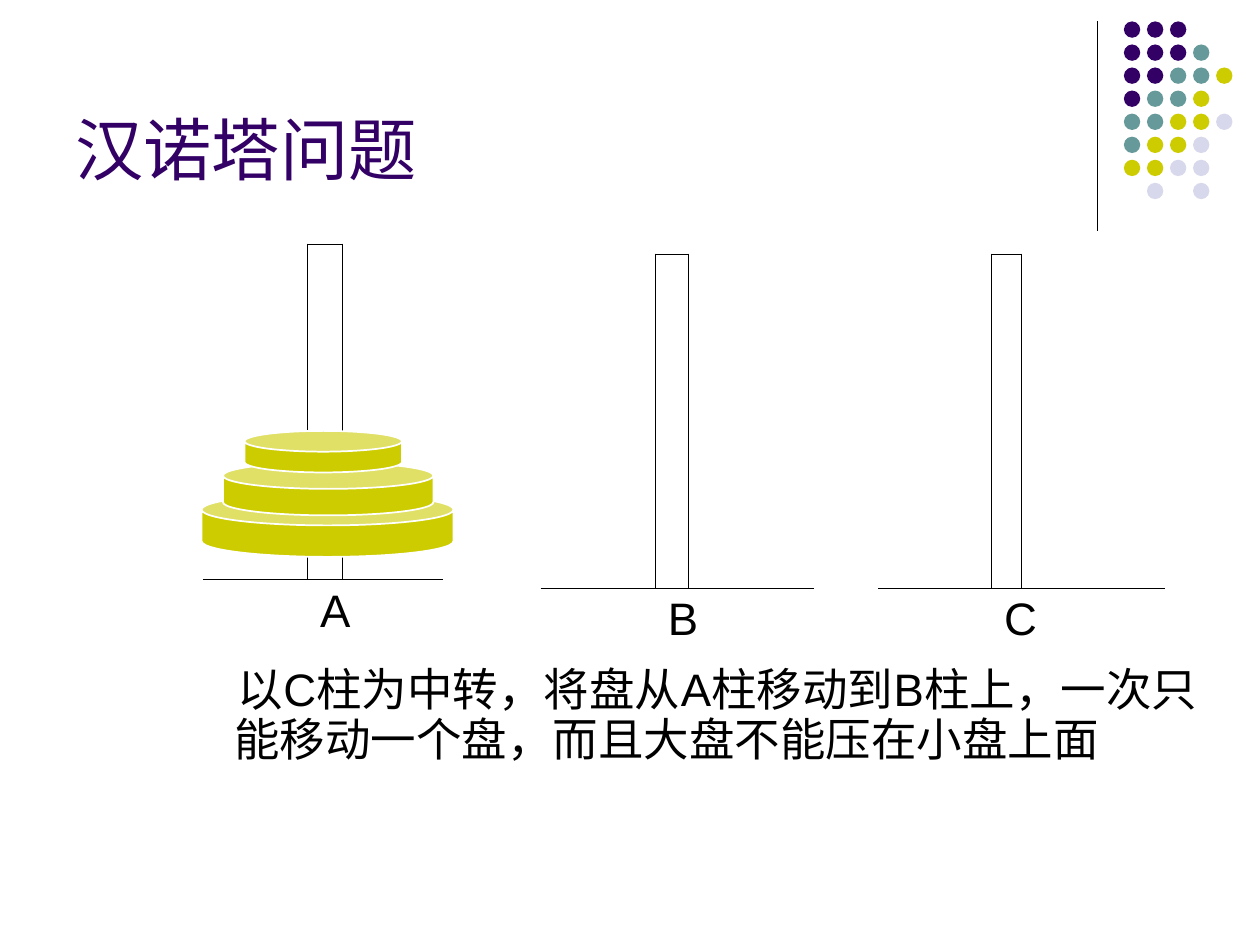
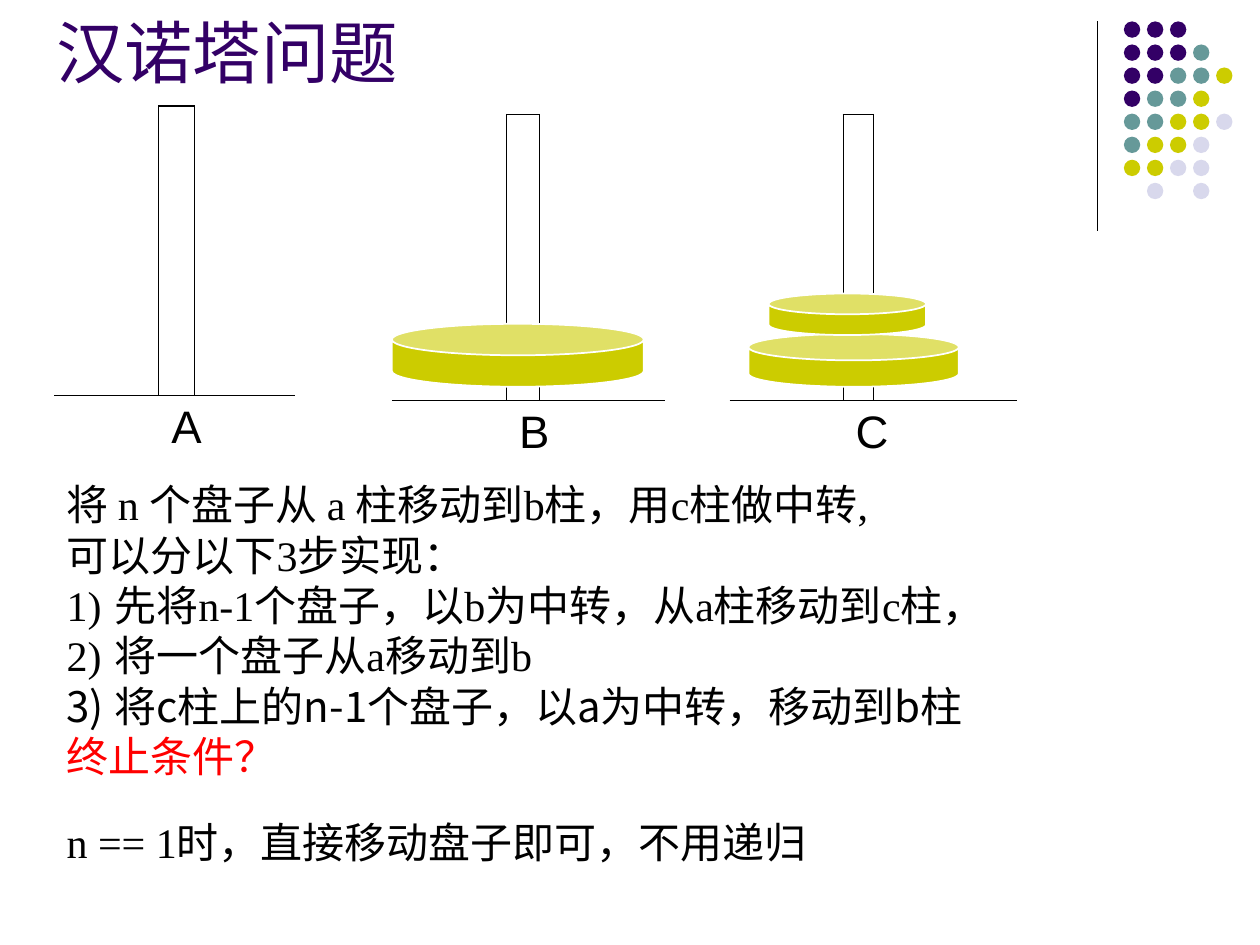
import pptx
import pptx.util
import pptx.dml.color
import pptx.enum.shapes
import pptx.enum.text
import pptx.oxml
import pptx.oxml.ns
from pptx.util import Inches

COLORS = {"title": "330066", "teal": "669999", "disc": "CCCC00",
          "pale": "D8D8EC", "ink": "000000", "alert": "FF0000", "white": "FFFFFF"}
CJK = "Noto Sans CJK SC"
SHAPES = pptx.enum.shapes.MSO_SHAPE
ANCHOR = pptx.enum.text.MSO_ANCHOR

# Dot pattern, one letter per dot; a dot in the string leaves a gap
DOT_ROWS = ["PPP", "PPPT", "PPTTY", "PTTY", "TTYYL", "TYYL", "YYLL", ".L.L"]
DOT_COLORS = {"P": "title", "T": "teal", "Y": "disc", "L": "pale"}

# Column widths and label-row height of each peg
PEGS = {"A": ([0.83, 0.28, 0.8], 0.54),
        "B": ([0.91, 0.26, 1], 0.54),
        "C": ([0.9, 0.24, 1.14], 1.03)}
DISCS = {"large": (2, 0.5), "medium": (1.67, 0.42), "small": (1.25, 0.33)}


def rgb(name):
    return pptx.dml.color.RGBColor.from_string(COLORS[name])


def sub(parent, tag, **attrs):
    el = pptx.oxml.parse_xml(f'<{tag} {pptx.oxml.ns.nsdecls("a")}/>')
    for key, value in attrs.items():
        el.set(key, str(value))
    parent.append(el)
    return el


def write(p, text, size=24, font="Arial", color="ink", hang=0, first=None,
          number=None, spacing=None):
    """Fill a paragraph; hang is its left indent, first its first-line indent."""
    pPr = p._p.get_or_add_pPr()
    if hang:
        pPr.set("marL", str(Inches(hang)))
        pPr.set("indent", str(Inches(-hang if first is None else first)))
    if number:
        sub(pPr, "a:buFont", typeface=font)
        sub(pPr, "a:buAutoNum", type="arabicParenR", startAt=number)
    if spacing:
        p.line_spacing = spacing
    r = p.add_run()
    r.text = text
    r.font.size = pptx.util.Pt(size)
    r.font.name = font
    r.font.color.rgb = rgb(color)
    sub(r._r.get_or_add_rPr(), "a:ea", typeface=CJK)


def add_text(s, box, lines, anchor=ANCHOR.TOP, **fmt):
    """Each line is (text, overrides of the shared format)."""
    tf = s.shapes.add_textbox(*map(Inches, box)).text_frame
    tf.word_wrap = True
    tf.vertical_anchor = anchor
    for i, (text, own) in enumerate(lines):
        p = tf.add_paragraph() if i else tf.paragraphs[0]
        write(p, text, **{**fmt, **own})


def add_title(s, box):
    add_text(s, box, [("汉诺塔问题", {})], anchor=ANCHOR.BOTTOM, size=39, color="title")


def add_corner(s):
    """Vertical rule and dot pattern at the top right."""
    rule = s.shapes.add_connector(pptx.enum.shapes.MSO_CONNECTOR.STRAIGHT,
                                  Inches(8.71), Inches(0.17), Inches(8.71), Inches(1.83))
    rule.line.color.rgb = rgb("ink")
    rule.line.width = pptx.util.Pt(0.75)
    sub(rule._element.spPr, "a:effectLst")
    dots = s.shapes.add_group_shape()
    for row, letters in enumerate(DOT_ROWS):
        for col, letter in enumerate(letters):
            if letter == ".":
                continue
            sp = dots.shapes.add_shape(SHAPES.OVAL, Inches(8.92 + col * 0.183),
                                       Inches(0.17 + row * 0.183), Inches(0.13), Inches(0.13))
            sp.shadow.inherit = False
            sp.fill.solid()
            sp.fill.fore_color.rgb = rgb(DOT_COLORS[letter])
            sp.line.fill.background()


def set_borders(cell, widths):
    """Widths in points by side; sides not given have no line."""
    tcPr = cell._tc.get_or_add_tcPr()
    for i, side in enumerate("LRTB"):
        width = widths.get(side)
        ln = sub(tcPr, f"a:ln{side}", w=pptx.util.Pt(width or 0))
        if width:
            sub(sub(ln, "a:solidFill"), "a:srgbClr", val=COLORS["ink"])
        else:
            sub(ln, "a:noFill")


def add_peg(s, label, left, top, height):
    """A table whose middle column is the peg and whose last row is the label."""
    widths, label_height = PEGS[label]
    frame = s.shapes.add_table(5, 3, Inches(left), Inches(top), Inches(sum(widths)),
                               Inches(height + label_height))
    table = frame.table
    table.first_row = table.horz_banding = False
    for col, width in zip(table.columns, widths):
        col.width = Inches(width)
    for i, row in enumerate(table.rows):
        row.height = Inches(height / 4 if i < 4 else label_height)
        for j, cell in enumerate(row.cells):
            borders = {}
            if i < 4:
                borders = [{"R": 0.45}, {"L": 0.45, "R": 0.45}, {"L": 0.45}][j]
                if i == 3 or j != 1:
                    borders["B"] = 0.45
                if i == 0 and j == 1:
                    borders["T"] = 1.08
            else:
                borders["T"] = 0.45
            set_borders(cell, borders)
            cell.fill.background()
    for j in (0, 2):
        table.cell(0, j).merge(table.cell(3, j))
    write(table.cell(4, 1).text_frame.paragraphs[0], label, size=26)


def add_disc(s, name, left, top):
    width, height = DISCS[name]
    sp = s.shapes.add_shape(SHAPES.CAN, Inches(left), Inches(top),
                            Inches(width), Inches(height))
    sp.adjustments[0] = 0.5
    sp.shadow.inherit = False
    sp.fill.solid()
    sp.fill.fore_color.rgb = rgb("disc")
    sp.line.color.rgb = rgb("white")
    sp.line.width = pptx.util.Pt(1)


def add_slide(prs):
    s = prs.slides.add_slide(prs.slide_layouts[6])
    add_corner(s)
    return s


def build_problem(prs):
    s = add_slide(prs)
    add_title(s, (0.5, 0.13, 8.25, 1.42))
    add_peg(s, "A", 1.61, 1.94, 2.66)
    add_peg(s, "B", 4.29, 2.02, 2.65)
    add_peg(s, "C", 6.97, 2.02, 2.65)
    # Stack, largest disc at the bottom
    add_disc(s, "large", 1.6, 3.92)
    add_disc(s, "medium", 1.77, 3.67)
    add_disc(s, "small", 1.94, 3.42)
    add_text(s, (1.38, 5.25, 8.27, 1.81),
             [("以C柱为中转，将盘从A柱移动到B柱上，一次只能移动一个盘，而且大盘不能压在小盘上面", {})],
             size=26, hang=0.38, first=0.03, spacing=0.9)


def build_steps(prs):
    s = add_slide(prs)
    add_title(s, (0.35, 0, 8.25, 0.78))
    body = {"font": "Times New Roman", "hang": 0.38}
    add_text(s, (0.43, 3.75, 8.43, 2.5), [
        ("将 n 个盘子从 a 柱移动到b柱，用c柱做中转,", {}),
        ("可以分以下3步实现：", {}),
        ("1)\t先将n-1个盘子，以b为中转，从a柱移动到c柱，", {}),
        ("2)\t将一个盘子从a移动到b", {}),
        ("将c柱上的n-1个盘子，以a为中转，移动到b柱", {"number": 3, "font": CJK}),
        ("终止条件？", {"font": CJK, "color": "alert"}),
    ], **body)
    add_peg(s, "A", 0.43, 0.84, 2.3)
    add_peg(s, "B", 3.11, 0.91, 2.27)
    add_peg(s, "C", 5.79, 0.91, 2.27)
    # State after the first two steps
    add_disc(s, "large", 3.11, 2.57)
    add_disc(s, "medium", 5.94, 2.65)
    add_disc(s, "small", 6.1, 2.33)
    add_text(s, (0.43, 6.43, 8.43, 0.5),
             [("n == 1时，直接移动盘子即可，不用递归", {})], **body)


def main():
    prs = pptx.Presentation()
    prs.slide_width, prs.slide_height = Inches(10), Inches(7.5)
    build_problem(prs)
    build_steps(prs)
    prs.save("out.pptx")


if __name__ == "__main__":
    main()
